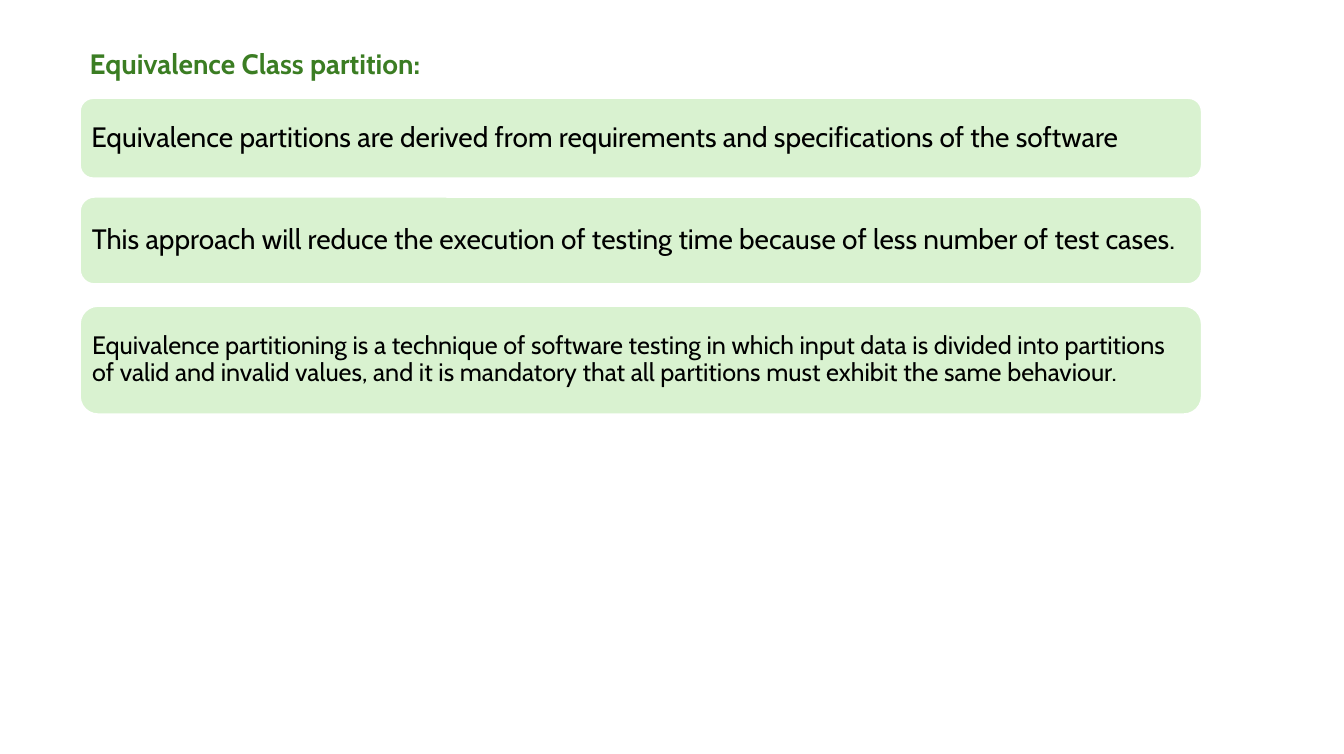
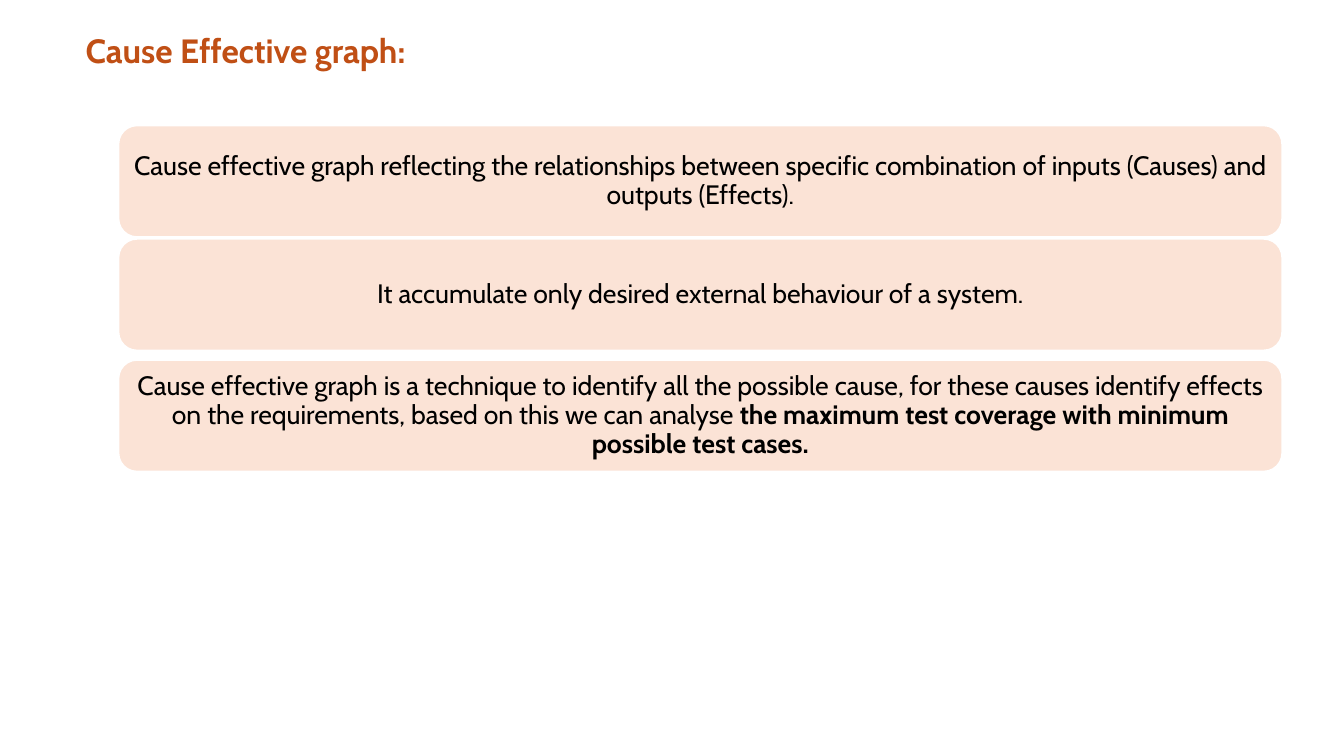
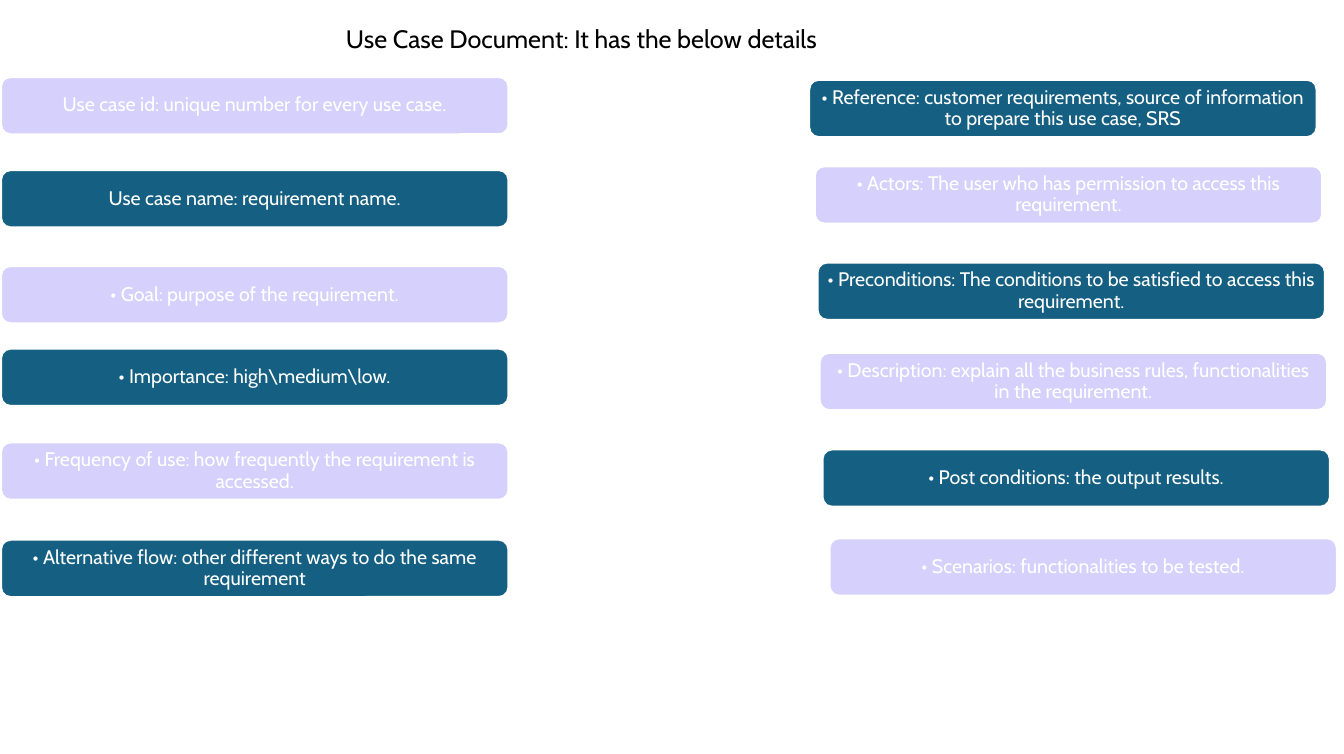
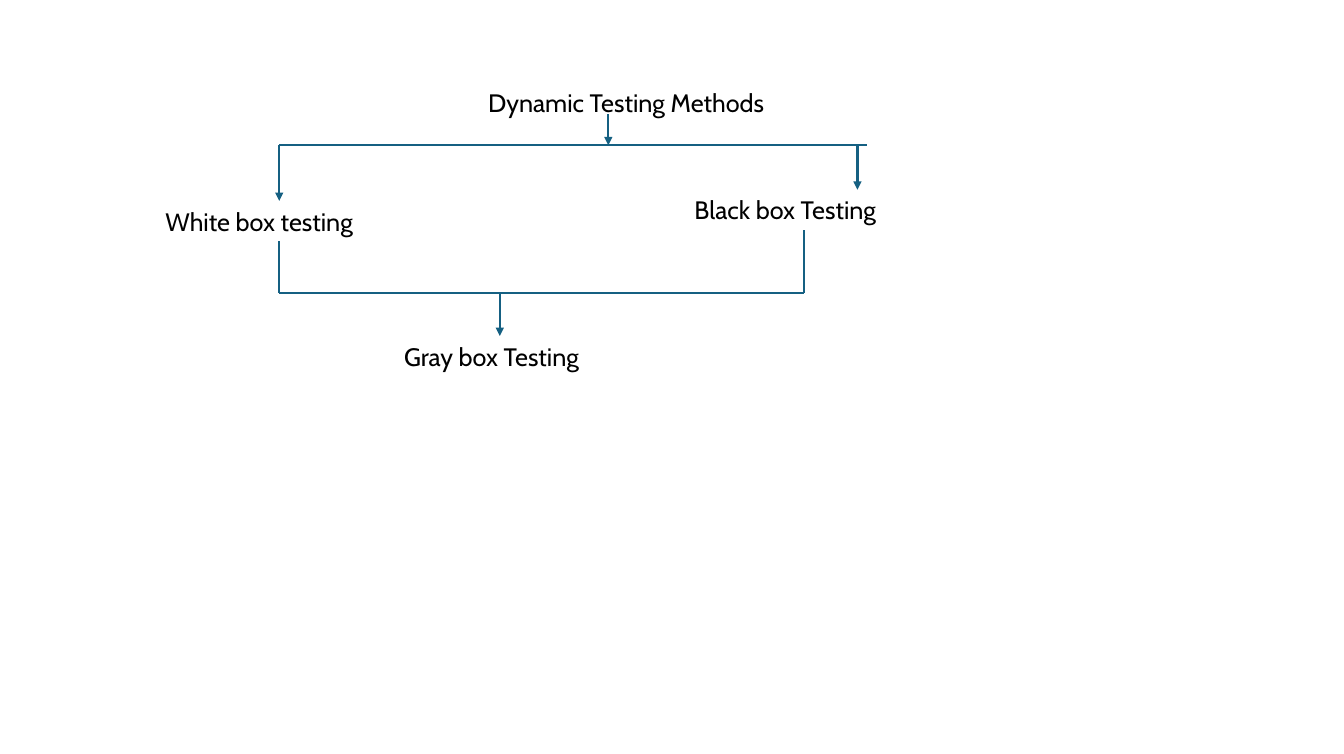
from lxml.etree import SubElement
from pptx import Presentation
from pptx.dml.color import RGBColor
from pptx.enum.shapes import MSO_CONNECTOR, MSO_SHAPE
from pptx.enum.text import MSO_ANCHOR, MSO_AUTO_SIZE, PP_ALIGN
from pptx.oxml.ns import qn
from pptx.util import Pt

# Shared look
COLORS = {
    "black": "000000",
    "white": "FFFFFF",
    "green": "3B7D23",
    "pale_green": "D9F2D0",
    "orange": "C04F15",
    "pale_orange": "FBE3D6",
    "lilac": "D5D0FC",
    "teal": "156082",
}
FONT = "Cabin"
LINE_WIDTH = 1.5
CARD_FRAME = {"word_wrap": True, "vertical_anchor": MSO_ANCHOR.MIDDLE}
LABEL_FRAME = {"word_wrap": True, "auto_size": MSO_AUTO_SIZE.SHAPE_TO_FIT_TEXT}


def write_text(shape, text, size, color, frame_format, bold=False, bold_end="", **paragraph_format):
    """Fill a shape with one paragraph, optionally closing in bold."""
    frame = shape.text_frame
    for name, value in frame_format.items():
        setattr(frame, name, value)
    paragraph = frame.paragraphs[0]
    for name, value in paragraph_format.items():
        setattr(paragraph, name, value)
    for part, is_bold in ((text, bold), (bold_end, True)):
        if part:
            run = paragraph.add_run()
            run.text = part
            font_format = {"name": FONT, "size": Pt(size), "bold": is_bold}
            for name, value in font_format.items():
                setattr(run.font, name, value)
            run.font.color.rgb = RGBColor.from_string(COLORS[color])


def add_card(slide, box, fill, text, size, color, align, insets, bold_end=""):
    """Add a rounded card with text centred vertically."""
    shape = slide.shapes.add_shape(MSO_SHAPE.ROUNDED_RECTANGLE, *map(Pt, box))
    shape.shadow.inherit = False
    shape.fill.solid()
    shape.fill.fore_color.rgb = RGBColor.from_string(COLORS[fill])
    shape.line.color.rgb = RGBColor.from_string(COLORS["white"])
    shape.line.width = Pt(LINE_WIDTH)
    side, end = map(Pt, insets)
    margins = {"margin_left": side, "margin_right": side, "margin_top": end, "margin_bottom": end}
    write_text(shape, text, size, color, CARD_FRAME | margins,
               bold_end=bold_end, alignment=align, line_spacing=0.9)


presentation = Presentation()
presentation.slide_width = Pt(960)
presentation.slide_height = Pt(538.56)
blank_layout = presentation.slide_layouts[6]
partition_slide, graph_slide, use_case_slide, methods_slide = [
    presentation.slides.add_slide(blank_layout) for _ in range(4)
]

# Titles and labels: slide, left, top, width, height, text, size, colour, bold
labels = [
    (partition_slide, 57, 29.5, 480, 31.5, "Equivalence Class partition:", 20, "green", True),
    (graph_slide, 54, 17.5, 480, 36, "Cause Effective graph:", 24, "orange", True),
    (use_case_slide, 240, 13, 480, 29, "Use Case Document: It has the below details", 18, "black", False),
    (methods_slide, 341.5, 58.5, 353, 29, "Dynamic Testing Methods", 18, "black", False),
    (methods_slide, 111, 143.5, 323, 29, "White box testing", 18, "black", False),
    (methods_slide, 489, 135.5, 294, 29, "Black box Testing", 18, "black", False),
    (methods_slide, 281.5, 240, 256, 29, "Gray box Testing", 18, "black", False),
]
for slide, left, top, width, height, text, size, color, bold in labels:
    label = slide.shapes.add_textbox(Pt(left), Pt(top), Pt(width), Pt(height))
    write_text(label, text, size, color, LABEL_FRAME, bold)

# Equivalence class cards: top, height, size, inset, text
partition_cards = [
    (70, 57.5, 20, 5.5,
     "Equivalence partitions are derived from requirements and specifications of the software"),
    (140.5, 62.5, 20, 5.5,
     "This approach will reduce the execution of testing time because of less number of test cases."),
    (218.5, 77.5, 18, 5,
     "Equivalence partitioning is a technique of software testing in which input data is divided "
     "into partitions of valid and invalid values, and it is mandatory that all partitions must "
     "exhibit the same behaviour."),
]
for top, height, size, inset, text in partition_cards:
    add_card(partition_slide, (57, top, 801.5, height), "pale_green", text, size,
             "black", PP_ALIGN.LEFT, (inset, inset))

# Cause effective graph cards: top, text, bold ending
graph_cards = [
    (89.5, "Cause effective graph reflecting the relationships between specific combination of "
           "inputs (Causes) and outputs (Effects).", ""),
    (170.5, "It accumulate only desired external behaviour of a system.", ""),
    (257, "Cause effective graph is a technique to identify all the possible cause, for these causes "
          "identify effects on the requirements, based on this we can analyse ",
     "the maximum test coverage with minimum possible test cases."),
]
for top, text, bold_end in graph_cards:
    add_card(graph_slide, (84.5, top, 831.5, 80), "pale_orange", text, 19,
             "black", PP_ALIGN.CENTER, (5.4, 2.7), bold_end)

# Use case cards: left, top, text; fills alternate down each column
left_column = [
    (0.75, 55, "Use case id: unique number for every use case."),
    (0.75, 121.5, "Use case name: requirement name."),
    (0.75, 190, "• Goal: purpose of the requirement."),
    (0.75, 249, "• Importance: high\\medium\\low."),
    (0.75, 316, "• Frequency of use: how frequently the requirement is accessed."),
    (0.75, 385.5, "• Alternative flow: other different ways to do the same requirement"),
]
right_column = [
    (578, 57, "• Reference: customer requirements, source of information to prepare this use case, SRS"),
    (582, 118.75, "• Actors: The user who has permission to access this requirement."),
    (584, 187.5, "• Preconditions: The conditions to be satisfied to access this requirement."),
    (585.5, 252, "• Description: explain all the business rules, functionalities in the requirement."),
    (587.5, 321, "• Post conditions: the output results."),
    (592.5, 384.5, "• Scenarios: functionalities to be tested."),
]
for cards, fills in ((left_column, ("lilac", "teal")), (right_column, ("teal", "lilac"))):
    for row, (left, top, text) in enumerate(cards):
        add_card(use_case_slide, (left, top, 362.5, 41), fills[row % 2], text, 14,
                 "white", PP_ALIGN.CENTER, (4, 2))

# Dynamic testing tree: start x, start y, end x, end y, arrowhead
white_x, black_x, split_y, merge_y = 199.5, 574, 103.75, 209
tree_lines = [
    (white_x, split_y, 619.5, split_y, False),
    (white_x, split_y, white_x, 143.5, True),
    (612.5, split_y, 612.5, 135.5, True),
    (434.5, 81.5, 434.5, split_y, True),
    (white_x, 172.5, white_x, merge_y, False),
    (black_x, 164.5, black_x, merge_y, False),
    (white_x, merge_y, black_x, merge_y, False),
    (357, merge_y, 357, 240, True),
]
for *ends, has_arrow in tree_lines:
    connector = methods_slide.shapes.add_connector(MSO_CONNECTOR.STRAIGHT, *map(Pt, ends))
    connector.line.color.rgb = RGBColor.from_string(COLORS["teal"])
    connector.line.width = Pt(LINE_WIDTH)
    properties = connector.element.spPr
    if has_arrow:
        SubElement(properties.find(qn("a:ln")), qn("a:tailEnd"), type="triangle")
    SubElement(properties, qn("a:effectLst"))

presentation.save("out.pptx")
